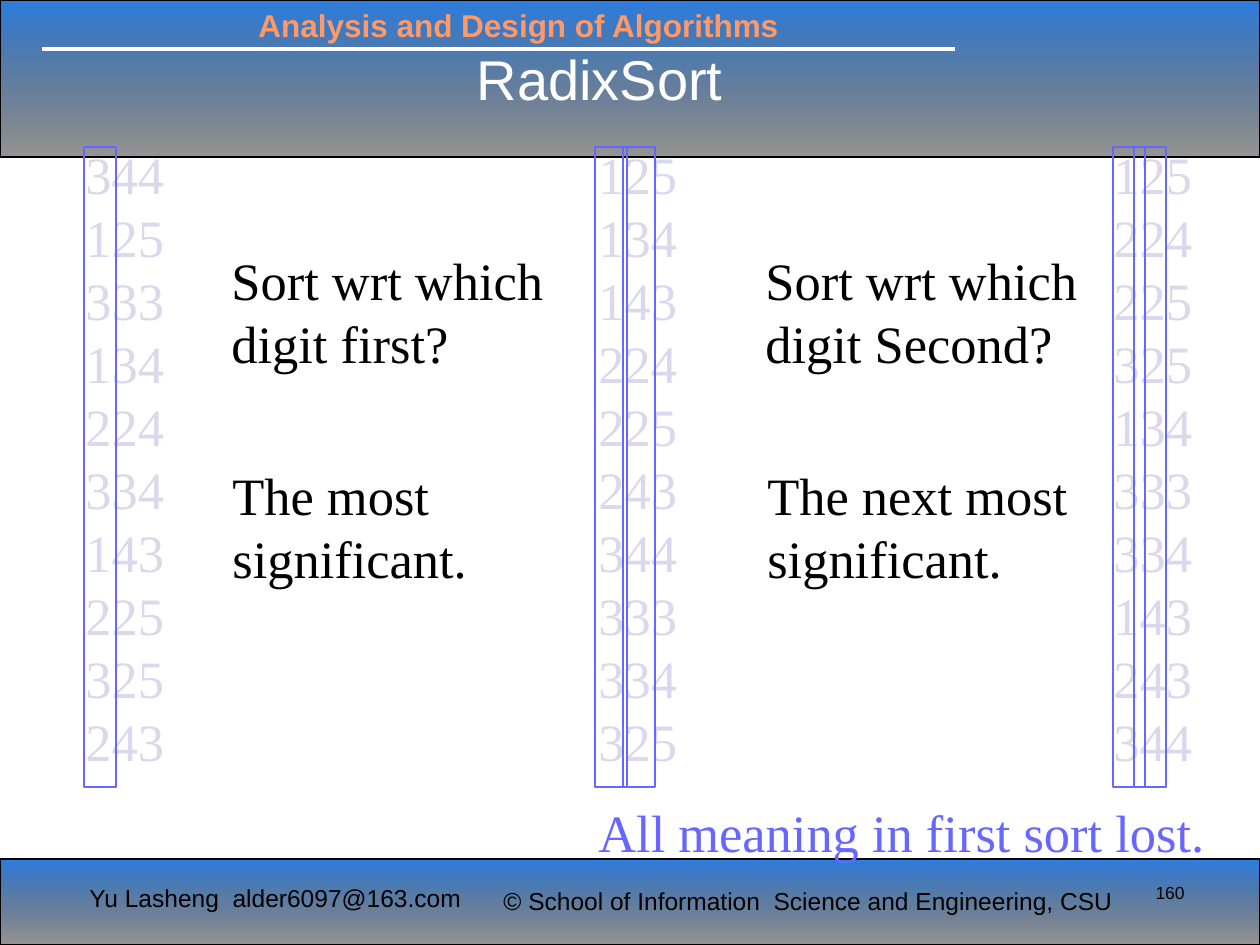
import pptx
import pptx.util
import pptx.dml.color
import pptx.enum.shapes
import pptx.enum.text
import pptx.oxml
import pptx.oxml.ns

RGBColor = pptx.dml.color.RGBColor
BLUE = RGBColor(0x0E, 0x6B, 0xDC)
BLACK = RGBColor(0, 0, 0)
WHITE = RGBColor(0xFF, 0xFF, 0xFF)
ORANGE = RGBColor(0xFF, 0x99, 0x66)
LAVENDER = RGBColor(0xD9, 0xD8, 0xEC)
VIOLET = RGBColor(0x67, 0x67, 0xFF)

PX = 914400 // 126
SANS = "Arial"
SERIF = "Times New Roman"
ALIGN = pptx.enum.text.PP_ALIGN
ANCHOR = pptx.enum.text.MSO_ANCHOR

COLUMNS = [
    (73, "344 125 333 134 224 334 143 225 325 243"),
    (586, "125 134 143 224 225 243 344 333 334 325"),
    (1101, "125 224 225 325 134 333 334 143 243 344"),
]
REMARKS = [
    (219, 242, 350, "Sort wrt which\vdigit first?"),
    (220, 457, 261, "The most\vsignificant."),
    (753, 242, 350, "Sort wrt which\vdigit Second?"),
    (755, 457, 339, "The next most\vsignificant."),
]
DIGIT_FRAMES = [84, 595, 623, 1134, 1113]


def px(*lengths):
    return [length * PX for length in lengths]


def add_text(page, place, text, size, color, font=SANS, bold=False,
             align=ALIGN.LEFT):
    box = page.shapes.add_textbox(*px(*place))
    frame = box.text_frame
    frame.word_wrap = True
    frame.text = text
    para = frame.paragraphs[0]
    para.alignment = align
    para.font.name = font
    para.font.size = pptx.util.Pt(size)
    para.font.bold = bold
    para.font.color.rgb = color
    return box


def add_serif_text(page, place, text, color):
    box = add_text(page, place, text, 30, color, SERIF)
    box.text_frame.paragraphs[0].line_spacing = pptx.util.Pt(36)


def add_rectangle(page, place, line_color, line_width):
    box = page.shapes.add_shape(
        pptx.enum.shapes.MSO_SHAPE.RECTANGLE, *px(*place))
    box.shadow.inherit = False
    box.fill.background()
    box.line.color.rgb = line_color
    box.line.width = pptx.util.Pt(line_width)
    return box


def add_band(page, top, height):
    band = add_rectangle(page, (0, top, 1260, height), BLACK, 0.75)
    band.fill.gradient()
    band.fill.gradient_angle = 270
    stops = band.fill.gradient_stops
    for stop, color, position in zip(stops, (BLUE, BLACK), (0, 1)):
        stop.color.rgb = color
        stop.position = position
    gradient = band.element.spPr.find(pptx.oxml.ns.qn("a:gradFill"))
    colors = gradient.iter(pptx.oxml.ns.qn("a:srgbClr"))
    for color, opacity in zip(list(colors), (88000, 41000)):
        alpha = pptx.oxml.parse_xml(
            f'<a:alpha {pptx.oxml.ns.nsdecls("a")} val="{opacity}"/>')
        color.append(alpha)


def add_rule(page, left, right, top):
    rule = page.shapes.add_connector(
        pptx.enum.shapes.MSO_CONNECTOR.STRAIGHT, *px(left, top, right, top))
    rule.line.color.rgb = WHITE
    rule.line.width = pptx.util.Pt(2.25)
    rule.element.spPr.append(pptx.oxml.parse_xml(
        f'<a:effectLst {pptx.oxml.ns.nsdecls("a")}/>'))


def add_header_and_footer(page):
    add_band(page, 0, 157)
    add_band(page, 859, 86)
    add_rule(page, 42, 955, 49)
    add_text(page, (246, 0, 630, 50), "Analysis and Design of Algorithms",
             18, ORANGE, bold=True)
    add_text(page, (77, 877, 404, 72), "Yu Lasheng  alder6097@163.com",
             14, BLACK)
    add_text(page, (491, 880, 665, 43),
             "© School of Information  Science and Engineering, CSU",
             14, BLACK)
    add_text(page, (1086, 876, 111, 63), "160", 10, BLACK, align=ALIGN.RIGHT)
    title = add_text(page, (88, 0, 1071, 157), "RadixSort", 32, WHITE,
                     align=ALIGN.CENTER)
    title.text_frame.vertical_anchor = ANCHOR.MIDDLE
    title.text_frame.margin_right = 60 * PX


def main():
    deck = pptx.Presentation()
    deck.slide_width, deck.slide_height = px(1260, 945)
    page = deck.slides.add_slide(deck.slide_layouts[6])
    add_header_and_footer(page)
    for left, numbers in COLUMNS:
        add_serif_text(page, (left, 136, 117, 643),
                       "\v".join(numbers.split()), LAVENDER)
    for left, top, width, text in REMARKS:
        add_serif_text(page, (left, top, width, 139), text, BLACK)
    add_serif_text(page, (586, 794, 632, 76),
                   "All meaning in first sort lost.", VIOLET)
    for left in DIGIT_FRAMES:
        add_rectangle(page, (left, 147, 32, 640), VIOLET, 1.5)
    deck.save("out.pptx")


if __name__ == "__main__":
    main()
